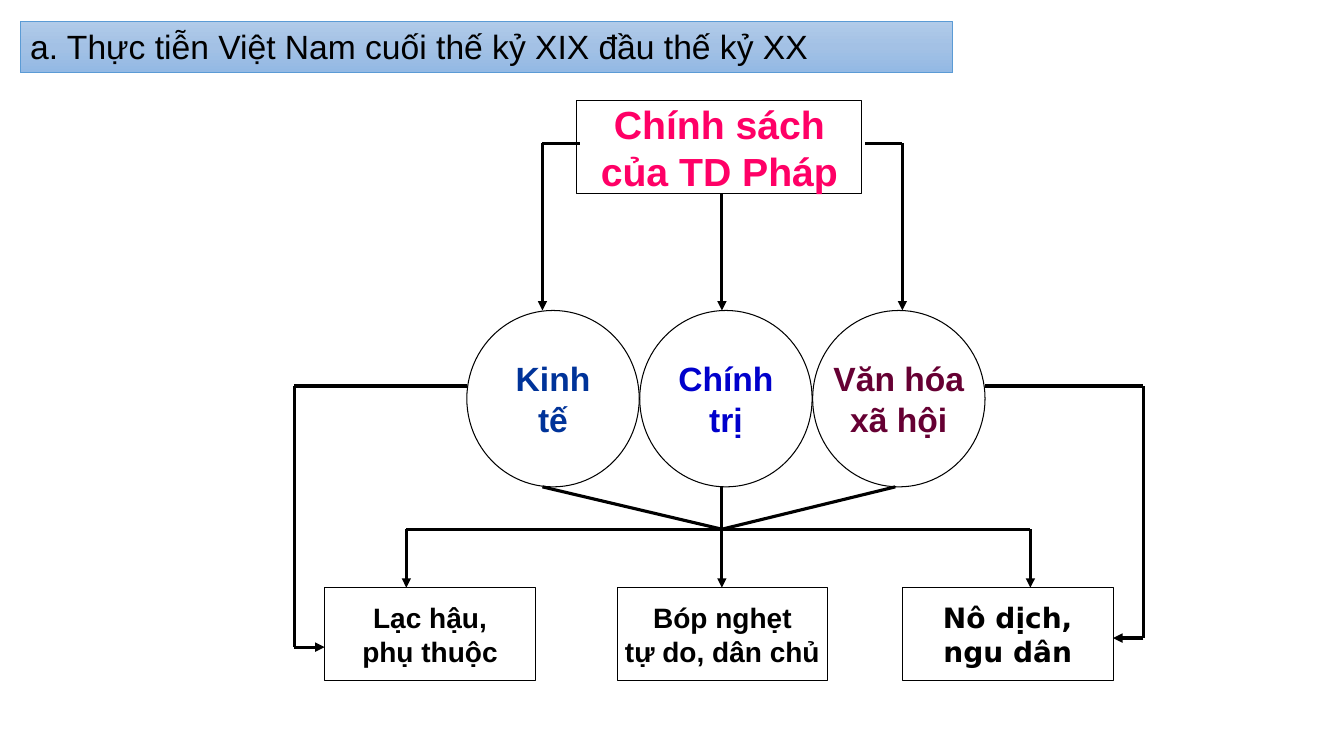
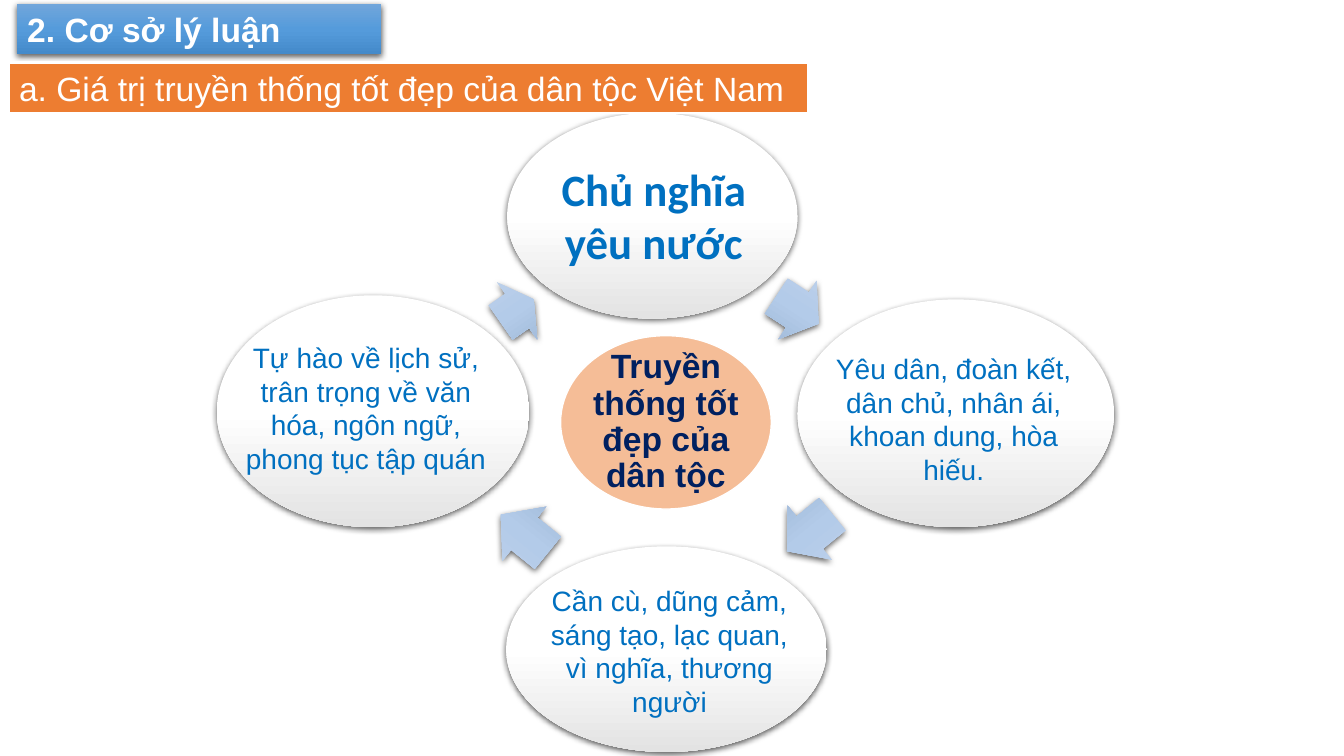
import dataclasses

import lxml.etree
import pptx
import pptx.dml.color
import pptx.enum.shapes
import pptx.enum.text
import pptx.oxml.ns
import pptx.util

Inches = pptx.util.Inches
Preset = pptx.enum.shapes.MSO_SHAPE
Anchor = pptx.enum.text.MSO_ANCHOR
Align = pptx.enum.text.PP_ALIGN
qn = pptx.oxml.ns.qn


@dataclasses.dataclass(frozen=True)
class Theme:
    # Colours
    black: str = "000000"
    white: str = "FFFFFF"
    pink: str = "FF0066"
    economy: str = "003399"
    politics: str = "0000CC"
    culture: str = "660033"
    value: str = "0070C0"
    navy: str = "002060"
    orange: str = "ED7D31"
    bar_line: str = "5B9BD5"
    # Gradients: start, middle and end, from top to bottom
    pale_bar: tuple = ("B1CBE9", "A3C1E5", "93B9E4")
    strong_bar: tuple = ("71A6DB", "559BDB", "448ACA")
    pearl: tuple = ("FFFFFF", "FFFFFF", "E3E3E3")
    arrow: tuple = ("C0D2EB", "B3CBE9", "9BB4D3")
    # Type
    font: str = "Arial"
    headline: int = 32
    policy: int = 28
    heading: int = 24
    body: int = 20


THEME = Theme()


@dataclasses.dataclass(frozen=True)
class Box:
    left: float
    top: float
    width: float
    height: float

    def inner(self, dx, dy, width, height):
        return Box(self.left + dx, self.top + dy, width, height)

    def lengths(self):
        return [Inches(v) for v in (self.left, self.top, self.width, self.height)]


def rgb(colour):
    return pptx.dml.color.RGBColor.from_string(colour)


def add_child(parent, tag, **attributes):
    child = lxml.etree.SubElement(parent, qn(tag))
    for name, value in attributes.items():
        child.set(name, str(value))
    return child


def set_fill(shape, fill, alpha=None):
    """A tuple is a vertical gradient, a string a solid colour, None no fill."""
    if fill is None:
        shape.fill.background()
    elif isinstance(fill, tuple):
        shape.fill.gradient()
        shape.fill.gradient_angle = 270
        stops = shape._element.spPr.find(".//" + qn("a:gsLst"))
        for stop in list(stops):
            stops.remove(stop)
        for position, colour in zip((0, 50000, 100000), fill):
            stop = add_child(stops, "a:gs", pos=position)
            add_child(stop, "a:srgbClr", val=colour)
    else:
        shape.fill.solid()
        shape.fill.fore_color.rgb = rgb(fill)
        if alpha is not None:
            colour = shape._element.spPr.find(".//" + qn("a:srgbClr"))
            add_child(colour, "a:alpha", val=alpha * 1000)


def style(shape, fill=None, line=None, width=0.75, shadow=False, alpha=None):
    set_fill(shape, fill, alpha)
    if line:
        shape.line.color.rgb = rgb(line)
        shape.line.width = pptx.util.Pt(width)
    else:
        shape.line.fill.background()
    shape.shadow.inherit = False
    if shadow:
        effects = shape._element.spPr.find(qn("a:effectLst"))
        outer = add_child(effects, "a:outerShdw", blurRad=pptx.util.Pt(4.5),
                          dist=pptx.util.Pt(1.5), dir=5400000, rotWithShape=0)
        colour = add_child(outer, "a:srgbClr", val=THEME.black)
        add_child(colour, "a:alpha", val=63000)


def write(shape, text, size=THEME.body, colour=THEME.black, bold=False, font=THEME.font,
          align=Align.CENTER, anchor=Anchor.MIDDLE, wrap=True, spacing=None, margin=None):
    frame = shape.text_frame
    frame.text = text
    frame.auto_size = pptx.enum.text.MSO_AUTO_SIZE.NONE
    frame.word_wrap = wrap
    frame.vertical_anchor = anchor
    if margin is not None:
        frame.margin_left = frame.margin_right = Inches(margin)
        frame.margin_top = frame.margin_bottom = Inches(margin)
    for paragraph in frame.paragraphs:
        paragraph.alignment = align
        if spacing:
            paragraph.line_spacing = spacing
        paragraph.font.size = pptx.util.Pt(size)
        paragraph.font.bold = bold
        paragraph.font.name = font
        paragraph.font.color.rgb = rgb(colour)


def add_shape(slide, preset, box, **look):
    shape = slide.shapes.add_shape(preset, *box.lengths())
    style(shape, **look)
    return shape


def write_bar(bar, text, colour, bold=False):
    write(bar, text, size=THEME.heading, colour=colour, bold=bold,
          align=Align.LEFT, anchor=Anchor.TOP)


def title_bar(slide, box, text, colour, bold=False, **look):
    title = slide.shapes.title
    title.left, title.top, title.width, title.height = box.lengths()
    style(title, **look)
    write_bar(title, text, colour, bold)


def route(slide, box, *points, arrow=False):
    """Joins points inside the box with straight lines; an arrow ends the last."""
    for start, end in zip(points, points[1:]):
        ends = [Inches(v) for x, y in (start, end) for v in (box.left + x, box.top + y)]
        line = slide.shapes.add_connector(pptx.enum.shapes.MSO_CONNECTOR.STRAIGHT, *ends)
        line.line.color.rgb = rgb(THEME.black)
        line.line.width = pptx.util.Pt(2.25)
        if arrow and end == points[-1]:
            add_child(line.line._get_or_add_ln(), "a:tailEnd", type="triangle")
        add_child(line._element.spPr, "a:effectLst")


def policy_diagram(slide, box):
    # Policy at the top
    policy = add_shape(slide, Preset.RECTANGLE, box.inner(2.8, 0, 2.83, 0.92), line=THEME.black)
    write(policy, "Chính sách\ncủa TD Pháp", size=THEME.policy, colour=THEME.pink,
          bold=True, wrap=False)

    # Three fields
    fields = [("Kinh\ntế", THEME.economy), ("Chính\ntrị", THEME.politics),
              ("Văn hóa\nxã hội", THEME.culture)]
    for index, (text, colour) in enumerate(fields):
        field = add_shape(slide, Preset.OVAL, box.inner(1.71 + 1.715 * index, 2.08, 1.71, 1.75),
                          line=THEME.black)
        write(field, text, size=THEME.heading, colour=colour, bold=True, wrap=False)

    # Three outcomes
    outcomes = [(0.3, "Lạc hậu,\nphụ thuộc", THEME.font),
                (3.2, "Bóp nghẹt\ntự do, dân chủ", THEME.font),
                (6.03, "Nô dịch,\nngu dân", "DejaVu Sans")]
    for left, text, font in outcomes:
        outcome = add_shape(slide, Preset.RECTANGLE, box.inner(left, 4.83, 2.09, 0.92),
                            line=THEME.black)
        write(outcome, text, bold=True, font=font, wrap=False)

    # Policy to fields
    middle, bus = 4.24, 4.25
    route(slide, box, (2.83, 0.42), (2.46, 0.42), (2.46, 2.08), arrow=True)
    route(slide, box, (5.66, 0.42), (6.03, 0.42), (6.03, 2.08), arrow=True)
    route(slide, box, (middle, 0.92), (middle, 2.08), arrow=True)

    # Outer fields to outer outcomes
    route(slide, box, (1.71, 2.83), (0, 2.83), (0, 5.42), (0.3, 5.42), arrow=True)
    route(slide, box, (6.85, 2.83), (8.42, 2.83), (8.42, 5.33), (8.12, 5.33), arrow=True)

    # Fields gathered on a bus that feeds the outcomes
    route(slide, box, (1.11, bus), (7.3, bus))
    for x in (2.46, middle, 5.96):
        route(slide, box, (x, 3.83), (middle, bus))
    for x in (1.11, middle, 7.3):
        route(slide, box, (x, bus), (x, 4.83), arrow=True)


def values_ring(slide, box):
    # Arrows between the values: left, top, width, rotation
    for left, top, width, turn in [(5.51, 1.61, 0.5, 33.1), (5.59, 3.82, 0.58, 140.8),
                                   (2.75, 3.83, 0.6, 219), (2.78, 1.62, 0.4, 325)]:
        arrow = add_shape(slide, Preset.RIGHT_ARROW, box.inner(left, top, width, 0.69),
                          fill=THEME.arrow, shadow=True)
        arrow.adjustments[0], arrow.adjustments[1] = 0.6, 0.5
        arrow.rotation = turn

    # Values: oval, text area, wording, emphasis
    strong = dict(size=THEME.headline, bold=True, font="Calibri")
    values = [
        ((2.88, 0, 2.88, 2.04), (3.21, 0.43, 2.25, 1.18), "Chủ nghĩa yêu nước", strong),
        ((5.76, 1.85, 3.14, 2.26), (5.86, 2.32, 2.9, 1.45),
         "Yêu dân, đoàn kết, dân chủ, nhân ái, khoan dung, hòa hiếu.", {}),
        ((2.87, 4.3, 3.18, 2.04), (3.13, 4.62, 2.72, 1.45),
         "Cần cù, dũng cảm, sáng tạo, lạc quan, vì nghĩa, thương người", {}),
        ((0, 1.81, 3.1, 2.3), (0.09, 2.21, 2.78, 1.45),
         "Tự hào về lịch sử, trân trọng về văn hóa, ngôn ngữ, phong tục tập quán", {}),
    ]
    for oval, area, text, emphasis in values:
        add_shape(slide, Preset.OVAL, box.inner(*oval), fill=THEME.pearl, shadow=True)
        caption = slide.shapes.add_textbox(*box.inner(*area).lengths())
        write(caption, text, colour=THEME.value, anchor=Anchor.TOP, **emphasis)

    # Hub
    hub = add_shape(slide, Preset.OVAL, box.inner(3.41, 2.21, 2.09, 1.72),
                    fill=THEME.orange, alpha=50, line=THEME.white, width=1)
    write(hub, "Truyền thống tốt đẹp của dân tộc", size=THEME.heading, colour=THEME.navy,
          bold=True, spacing=0.9, margin=0)


def history_slide(slide):
    title_bar(slide, Box(0.2, 0.21, 9.25, 0.51),
              "a. Thực tiễn Việt Nam cuối thế kỷ XIX đầu thế kỷ XX", THEME.black,
              fill=THEME.pale_bar, line=THEME.bar_line, width=0.5)
    policy_diagram(slide, Box(2.92, 1, 8.42, 5.75))


def theory_slide(slide):
    title_bar(slide, Box(0.17, 0.04, 3.61, 0.5), "2. Cơ sở lý luận", THEME.white, bold=True,
              fill=THEME.strong_bar, shadow=True)
    values_ring(slide, Box(2.15, 1.12, 8.9, 6.34))
    # Section bar
    section = add_shape(slide, Preset.RECTANGLE, Box(0.09, 0.62, 7.92, 0.5),
                        fill=THEME.orange, line=THEME.white, width=1.5)
    write_bar(section, "a. Giá trị truyền thống tốt đẹp của dân tộc Việt Nam", THEME.white)


def main():
    deck = pptx.Presentation()
    deck.slide_width, deck.slide_height = Inches(13.33), Inches(7.5)
    title_only = deck.slide_layouts[5]
    for build in (history_slide, theory_slide):
        build(deck.slides.add_slide(title_only))
    deck.save("out.pptx")


if __name__ == "__main__":
    main()
